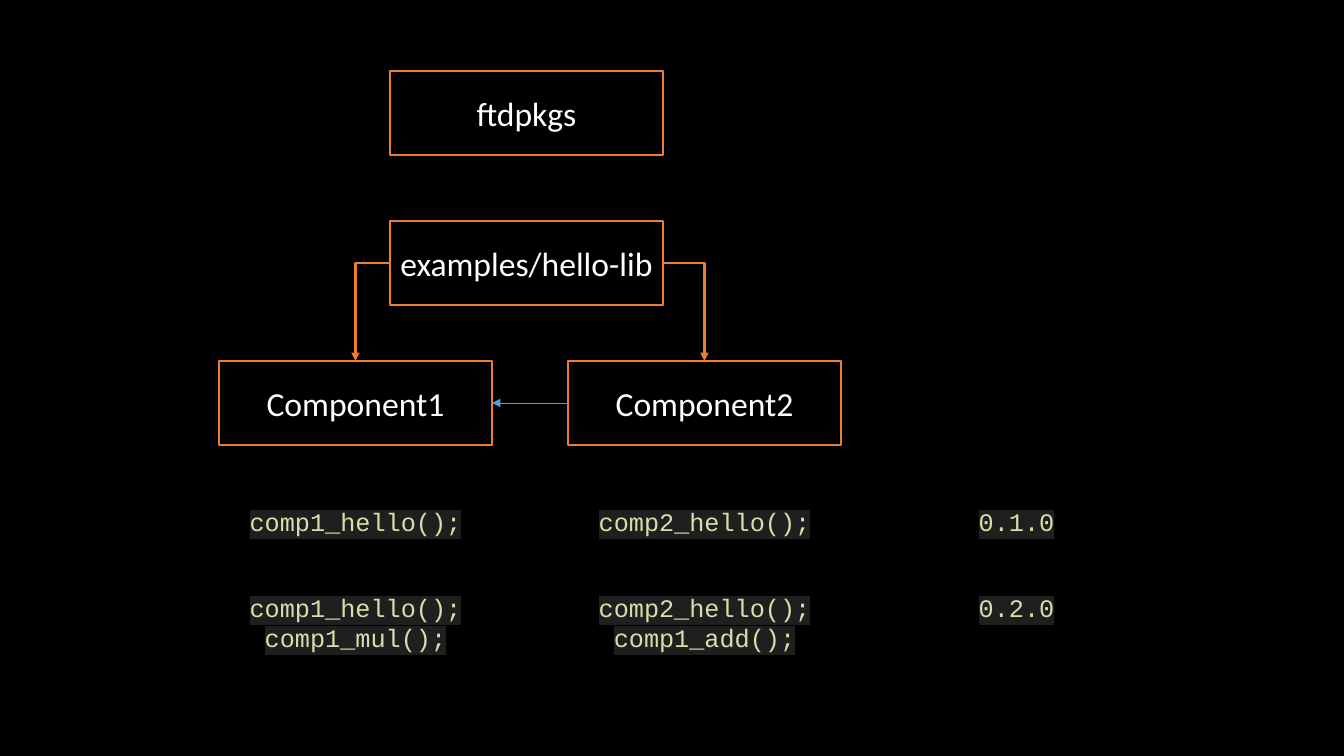
"""Build a slide of a package tree with its component versions."""
from lxml import etree
from pptx import Presentation
from pptx import util as u
from pptx.dml.color import RGBColor
from pptx.enum import shapes, text
from pptx.oxml import ns

SCALE = 9144000 / 1008
WIDE, HIGH = 273, 84
LEFT, STEP = 219, 349
LABEL = {"size": u.Pt(24), "name": "Calibri"}
CODE = {"size": u.Pt(18), "name": "Courier New"}
TOP, LEFT_SIDE, RIGHT_SIDE = 0, 1, 3


def px(count):
    """Turn px into EMU."""
    return u.Emu(round(count * SCALE))


def hue(code):
    """Turn a hex string into a colour."""
    return RGBColor.from_string(code)


def style(item, values):
    """Set attributes from a dict of format values."""
    for name, value in values.items():
        setattr(item, name, value)


def node(tag, up, **attrs):
    """Add a DrawingML element under another one."""
    return etree.SubElement(up, ns.qn(tag), attrs)


def box(slide, words, x, y):
    """Place one outlined box with a centred label."""
    rect = slide.shapes.add_shape(
        shapes.MSO_SHAPE.RECTANGLE, px(x), px(y), px(WIDE), px(HIGH))
    rect.shadow.inherit = False
    rect.fill.solid()
    rect.fill.fore_color.rgb = hue("000000")
    rect.line.color.rgb = hue("ED7D31")
    rect.line.width = u.Pt(1.5)
    frame = rect.text_frame
    style(frame, {"word_wrap": True, "margin_left": 0, "margin_right": 0,
                  "vertical_anchor": text.MSO_ANCHOR.MIDDLE})
    para = frame.paragraphs[0]
    para.alignment = text.PP_ALIGN.CENTER
    run = para.add_run()
    run.text = words
    style(run.font, LABEL)
    run.font.color.rgb = hue("FFFFFF")
    return rect


def link(slide, start, side, end, goal, kind, color, width):
    """Join two boxes with an arrow."""
    line = slide.shapes.add_connector(kind, 0, 0, 0, 0)
    line.begin_connect(start, side)
    line.end_connect(end, goal)
    line.line.color.rgb = hue(color)
    line.line.width = u.Pt(width)
    props = line._element.spPr
    node("a:tailEnd", props.find(ns.qn("a:ln")), type="triangle")
    node("a:effectLst", props)
    if kind == shapes.MSO_CONNECTOR.ELBOW:
        props.find(ns.qn("a:prstGeom")).set("prst", "bentConnector2")


def code(slide, lines, x, y):
    """Place centred lines of highlighted code."""
    area = slide.shapes.add_textbox(
        px(x), px(y), px(WIDE), px(10 + 30 * len(lines)))
    frame = area.text_frame
    style(frame, {"word_wrap": True,
                  "auto_size": text.MSO_AUTO_SIZE.SHAPE_TO_FIT_TEXT})
    for i, words in enumerate(lines):
        para = frame.add_paragraph() if i else frame.paragraphs[0]
        para.alignment = text.PP_ALIGN.CENTER
        run = para.add_run()
        run.text = words
        style(run.font, CODE)
        run.font.color.rgb = hue("DCDCAA")
        props = run._r.get_or_add_rPr()
        mark = node("a:highlight", props)
        node("a:srgbClr", mark, val="1F1F1F")
        props.find(ns.qn("a:solidFill")).addnext(mark)


def tree(slide, x, y):
    """Draw the package boxes and their arrows."""
    box(slide, "ftdpkgs", x + 171, y)
    lib = box(slide, "examples/hello-lib", x + 171, y + 150)
    one, two = [box(slide, f"Component{i + 1}", x + i * STEP, y + 290)
                for i in range(2)]
    bent = shapes.MSO_CONNECTOR.ELBOW
    for side, part in ((RIGHT_SIDE, two), (LEFT_SIDE, one)):
        link(slide, lib, side, part, TOP, bent, "ED7D31", 1.5)
    link(slide, two, LEFT_SIDE, one, RIGHT_SIDE,
         shapes.MSO_CONNECTOR.STRAIGHT, "5B9BD5", 0.5)


def grid(slide, x, y):
    """Lay out the calls of each version in rows."""
    rows = (
        (["comp1_hello();"], ["comp2_hello();"], ["0.1.0"]),
        (["comp1_hello();", "comp1_mul();"],
         ["comp2_hello();", "comp1_add();"], ["0.2.0"]),
    )
    for i, row in enumerate(rows):
        for shift, lines in zip((0, STEP, 661), row):
            code(slide, lines, x + shift, y + i * 86)


def main():
    """Build and save the slide."""
    deck = Presentation()
    style(deck, {"slide_width": px(1344), "slide_height": px(756)})
    slide = deck.slides.add_slide(deck.slide_layouts.get_by_name("Blank"))
    back = slide.background.fill
    back.solid()
    back.fore_color.rgb = hue("000000")
    tree(slide, LEFT, 71)
    grid(slide, LEFT, 501)
    deck.save("out.pptx")


if __name__ == "__main__":
    main()
